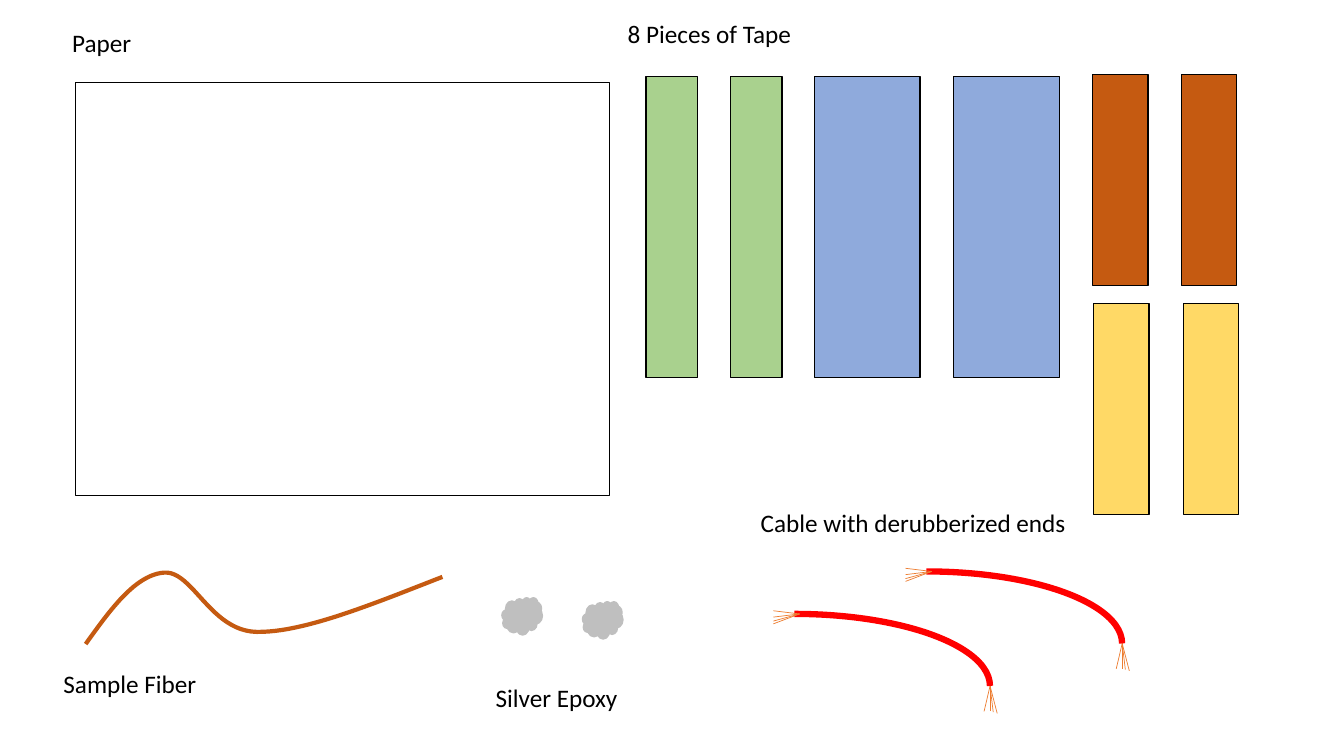
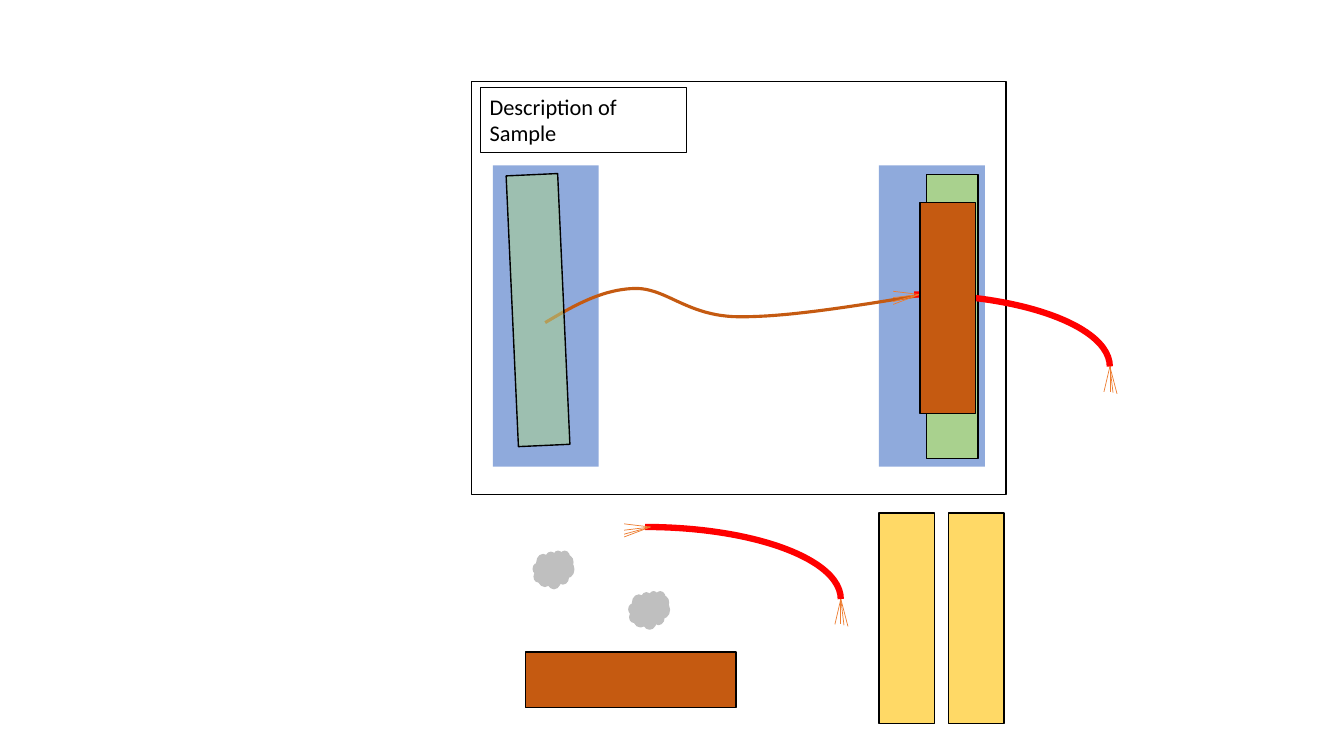
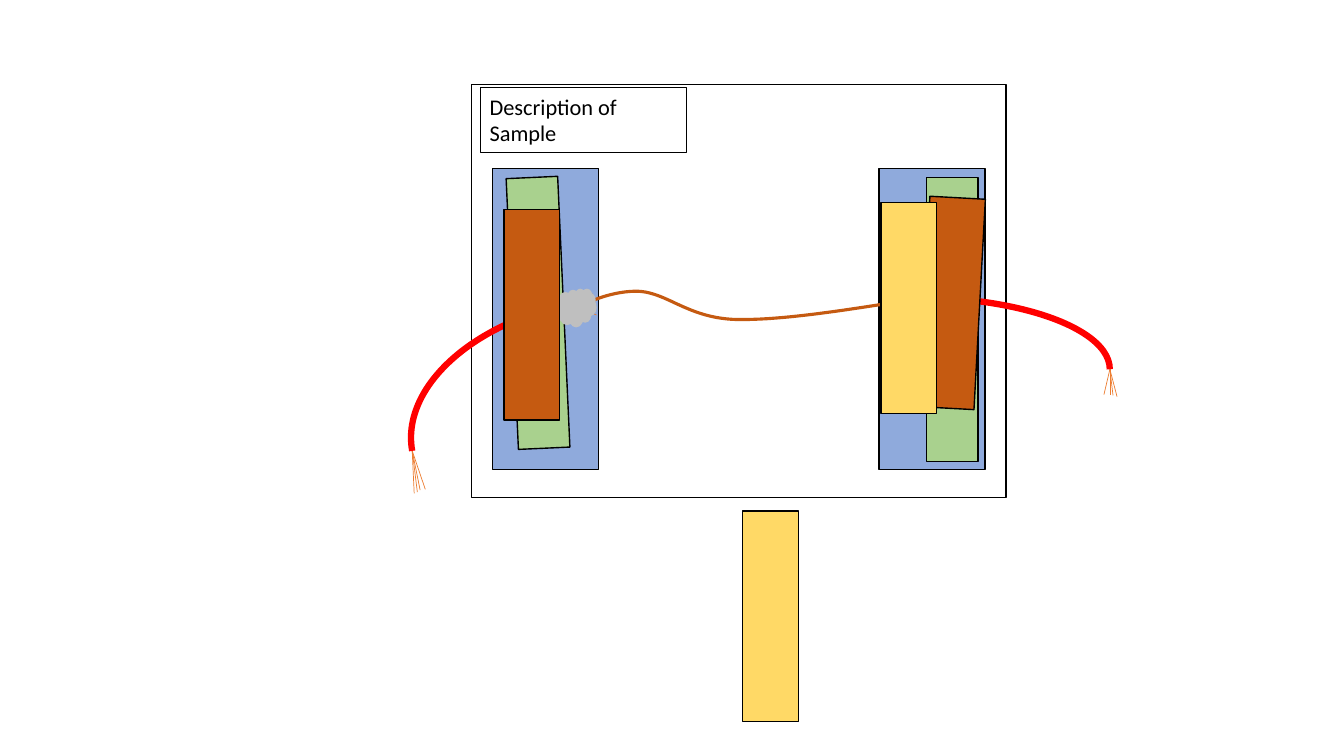
"""Build three slides showing how a fiber sample is taped and wired on paper."""
from math import cos, radians, sin

from lxml.etree import SubElement
from pptx import Presentation
from pptx.dml.color import RGBColor
from pptx.enum.shapes import MSO_CONNECTOR, MSO_SHAPE as SHAPE
from pptx.oxml.ns import qn
from pptx.util import Cm, Pt

BLACK = RGBColor(0x00, 0x00, 0x00)
WHITE = RGBColor(0xFF, 0xFF, 0xFF)
GREEN = RGBColor(0xA9, 0xD1, 0x8E)
BLUE = RGBColor(0x8F, 0xAA, 0xDC)
BROWN = RGBColor(0xC5, 0x5A, 0x11)
YELLOW = RGBColor(0xFF, 0xD9, 0x66)
GRAY = RGBColor(0xBF, 0xBF, 0xBF)
RED = RGBColor(0xFF, 0x00, 0x00)
COPPER = RGBColor(0xED, 0x7D, 0x31)

FONT = "Calibri"
PAPER = (13.46, 10.41)
LONG_TAPE = (1.3, 7.59)
WIDE_TAPE = (2.67, 7.59)
SHORT_TAPE = (1.4, 5.31)
CABLE = (9.86, 3.63)
FIBER = ((0, 1), (0.07, 0.51), (0.14, 0.03), (0.22, 0), (0.3, -0.03),
         (0.35, 0.82), (0.48, 0.83), (0.61, 0.84), (0.8, 0.45), (1, 0.06))

HEAD = (0.13, ((-0.53, 0.25), (-0.53, -0.08), (-0.53, 0.08), (-0.53, 0.18)))
TAIL = (0, ((0.18, 0.69), (-0.15, 0.64), (0, 0.64), (0.08, 0.66)))
LEFT_HEAD = (-0.1, ((0.58, 0.3), (0.48, -0.23), (0.5, 0), (0.56, 0.15)))
LEFT_TAIL = (0, ((0.05, 1.07), (0.33, 0.97), (0.2, 0.99), (0.13, 1.04)))


def add_box(s, kind, x, y, size, fill=None, line=BLACK, width=1, rot=0):
    """Add a preset shape without shadow; None means no fill or no line."""
    sp = s.shapes.add_shape(kind, Cm(x), Cm(y), Cm(size[0]), Cm(size[1]))
    sp.shadow.inherit = False
    sp.rotation = rot
    if fill is None:
        sp.fill.background()
    else:
        sp.fill.solid()
        sp.fill.fore_color.rgb = fill
    if line is None:
        sp.line.fill.background()
    else:
        sp.line.color.rgb = line
        sp.line.width = Pt(width)
    return sp


def add_tape(s, x, y, size, color, line=BLACK, rot=0):
    """Add one piece of tape."""
    return add_box(s, SHAPE.RECTANGLE, x, y, size, color, line, rot=rot)


def add_epoxy(s, x, y):
    """Add a drop of silver epoxy."""
    add_box(s, SHAPE.CLOUD, x, y, (1.02, 0.94), GRAY, GRAY)


def add_label(s, text, x, y, width=6.3, height=1.02, size=18):
    """Add a left-aligned text label."""
    sp = s.shapes.add_textbox(Cm(x), Cm(y), Cm(width), Cm(height))
    tf = sp.text_frame
    tf.word_wrap = True
    tf.text = text
    font = tf.paragraphs[0].runs[0].font
    font.name, font.size = FONT, Pt(size)
    font.color.rgb = BLACK
    return sp


def add_wires(s, x, y, wires):
    """Fan bare wires out from a cable end at x, y."""
    shift, tips = wires
    for dx, dy in tips:
        wire = s.shapes.add_connector(MSO_CONNECTOR.STRAIGHT, Cm(x + shift), Cm(y),
                                      Cm(x + dx), Cm(y + dy))
        wire.line.color.rgb = COPPER
        wire.line.width = Pt(0.5)
        SubElement(wire._element.spPr, qn("a:effectLst"))


def add_cable(s, x, y, size=CABLE, head=HEAD, tail=TAIL, rot=0, mirrored=False):
    """Add a quarter-arc cable with bare wires at its ends."""
    w, h = size
    turn = radians(rot)

    def end(dx, dy):
        """Return the place of a cable end after rotation."""
        return (x + w / 2 + dx * cos(turn) - dy * sin(turn),
                y + h / 2 + dx * sin(turn) + dy * cos(turn))

    add_wires(s, *end(w / 2, 0), tail)
    arc = add_box(s, SHAPE.ARC, x, y, size, None, RED, 4.5, rot)
    if mirrored:
        arc.adjustments[0], arc.adjustments[1] = 0, 54
    if head:
        add_wires(s, *end(0, h / 2 if mirrored else -h / 2), head)


def add_fiber(s, x, y, w, h, width):
    """Draw the sample fiber, a chain of cubic curves, inside a box."""
    steps = 24
    points = []
    for i in range(0, len(FIBER) - 1, 3):
        for k in range(1, steps + 1):
            t = k / steps
            weights = ((1 - t) ** 3, 3 * t * (1 - t) ** 2, 3 * t * t * (1 - t), t ** 3)
            px, py = (sum(a * p[axis] for a, p in zip(weights, FIBER[i:i + 4]))
                      for axis in (0, 1))
            points.append((Cm(x + w * px), Cm(y + h * py)))
    builder = s.shapes.build_freeform(Cm(x), Cm(y + h))
    builder.add_line_segments(points, close=False)
    sp = builder.convert_to_shape()
    sp.shadow.inherit = False
    sp.fill.background()
    sp.line.color.rgb = BROWN
    sp.line.width = Pt(width)


def add_mount(s, x, y, blue_line=BLACK, head=None, opacity=None):
    """Add the paper with tapes, fiber and right cable, placed from its corner."""
    add_box(s, SHAPE.RECTANGLE, x, y, PAPER, WHITE)
    for dx in (0.53, 10.26):
        add_tape(s, x + dx, y + 2.11, WIDE_TAPE, BLUE, blue_line)
    add_fiber(s, x + 1.85, y + 5.21, 10.19, 0.86, 2.25)
    add_tape(s, x + 11.46, y + 2.34, (1.3, 7.16), GREEN)
    left = add_tape(s, x + 1.02, y + 2.34, (1.3, 6.83), GREEN, rot=357.4)
    if opacity:
        color = left.fill._xPr.find(qn("a:solidFill"))[0]
        SubElement(color, qn("a:alpha"), val=str(opacity * 1000))
    add_cable(s, x + 6.22, y + 5.36, head=head)


def add_description(s):
    """Add the framed sample description."""
    sp = add_label(s, "Description of Sample", 12.09, 2.21, 5.21, 1.63, 16)
    sp.line.color.rgb = BLACK
    sp.line.width = Pt(0.25)


def build_materials(s):
    """Lay out all the materials."""
    add_box(s, SHAPE.RECTANGLE, 1.9, 2.08, PAPER, WHITE)
    for x, y, size, color, pitch in ((16.28, 1.93, LONG_TAPE, GREEN, 2.13),
                                     (20.52, 1.93, WIDE_TAPE, BLUE, 3.51),
                                     (27.53, 1.88, SHORT_TAPE, BROWN, 2.24),
                                     (27.56, 7.65, SHORT_TAPE, YELLOW, 2.26)):
        for i in range(2):
            add_tape(s, x + i * pitch, y, size, color)
    add_fiber(s, 2.16, 14.43, 8.99, 1.8, 3)
    add_cable(s, 18.42, 14.4)
    add_cable(s, 15.09, 15.47)
    add_label(s, "Paper", 1.57, 0.56)
    add_label(s, "8 Pieces of Tape", 15.57, 0.33)
    add_label(s, "Sample Fiber", 1.35, 16.71)
    add_label(s, "Silver Epoxy", 12.24, 17.07)
    add_label(s, "Cable with derubberized ends", 18.92, 12.65, 8.84)
    add_epoxy(s, 12.65, 15.06)
    add_epoxy(s, 14.68, 15.16)


def build_first_cable(s):
    """Show the mount with the right cable attached."""
    add_cable(s, 11.33, 13.28)
    add_mount(s, 11.89, 2.06, blue_line=None, head=HEAD, opacity=56)
    add_tape(s, 23.19, 5.11, SHORT_TAPE, BROWN)
    add_epoxy(s, 13.44, 13.89)
    add_epoxy(s, 15.85, 14.91)
    add_description(s)
    for x in (22.15, 23.9):
        add_tape(s, x, 12.93, SHORT_TAPE, YELLOW)
    add_tape(s, 15.19, 14.48, SHORT_TAPE, BROWN, rot=90)


def build_second_cable(s):
    """Show the mount with both cables attached."""
    add_mount(s, 11.89, 2.13)
    add_cable(s, 10.31, 7.59, (9.35, 5.84), LEFT_HEAD, LEFT_TAIL, 169.5, True)
    add_epoxy(s, 14, 7.29)
    add_tape(s, 23.29, 4.98, SHORT_TAPE, BROWN, rot=3.1)
    add_description(s)
    add_tape(s, 18.72, 12.88, SHORT_TAPE, YELLOW)
    add_tape(s, 22.2, 5.11, SHORT_TAPE, YELLOW)
    add_tape(s, 12.7, 5.28, SHORT_TAPE, BROWN)


def main():
    """Build and save the presentation."""
    prs = Presentation()
    prs.slide_width, prs.slide_height = Cm(33.87), Cm(19.05)
    for build in (build_materials, build_first_cable, build_second_cable):
        build(prs.slides.add_slide(prs.slide_layouts[6]))
    prs.save("out.pptx")


if __name__ == "__main__":
    main()
